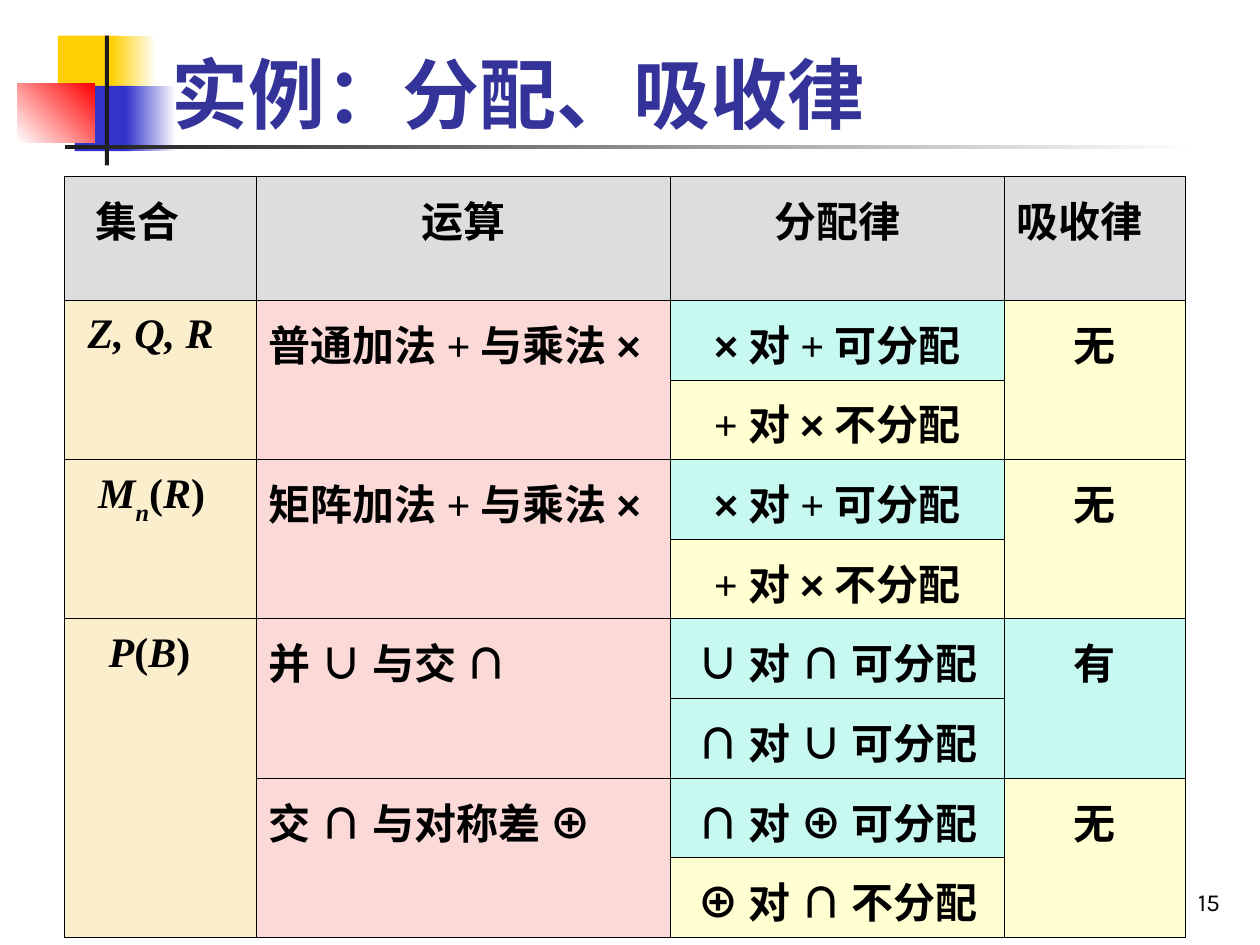
from itertools import groupby

from lxml import etree
from pptx import Presentation
from pptx.dml.color import RGBColor
from pptx.enum import shapes, text
from pptx.oxml import ns
from pptx.util import Pt

BLACK = RGBColor(0x00, 0x00, 0x00)
WHITE = RGBColor(0xFF, 0xFF, 0xFF)
DARK = RGBColor(0x1C, 0x1C, 0x1C)
GOLD = RGBColor(0xFF, 0xCF, 0x01)
BLUE = RGBColor(0x33, 0x33, 0xCC)
RED = RGBColor(0xFF, 0x00, 0x00)
TITLE = RGBColor(0x33, 0x33, 0x99)
GREY = RGBColor(0xDD, 0xDD, 0xDD)
SAND = RGBColor(0xFB, 0xEE, 0xCD)
PINK = RGBColor(0xFA, 0xD9, 0xD6)
MINT = RGBColor(0xC7, 0xF9, 0xF1)
CREAM = RGBColor(0xFF, 0xFF, 0xD1)
LEFT, CENTER, RIGHT = text.PP_ALIGN.LEFT, text.PP_ALIGN.CENTER, text.PP_ALIGN.RIGHT
HANG = 27  # hanging indent of the table text


def add_label(label, left, top, width, height, size, color, bold, align):
    tf = s.shapes.add_textbox(Pt(left), Pt(top), Pt(width), Pt(height)).text_frame
    tf.word_wrap = True
    tf.vertical_anchor = text.MSO_ANCHOR.BOTTOM
    p = tf.paragraphs[0]
    p.text, p.alignment = label, align
    p.font.name, p.font.size, p.font.bold = "Karla", Pt(size), bold
    p.font.color.rgb = color


def fill_cell(row, col, label, fill, align=CENTER, shift=0, span=1, math=False):
    cell = table.cell(row, col)
    if span > 1:
        cell.merge(table.cell(row + span - 1, col))
    cell.fill.solid()
    cell.fill.fore_color.rgb = fill
    p = cell.text_frame.paragraphs[0]
    p.alignment, p.line_spacing = align, 1.1
    pPr = p._p.get_or_add_pPr()
    pPr.set("marL", str(Pt(HANG)))
    pPr.set("indent", str(Pt(shift - HANG)))
    p.font.size, p.font.bold, p.font.color.rgb = Pt(24), True, BLACK
    # Operators are in Arial; in formulas all but brackets is italic
    for (symbol, bracket, sub), chars in groupby(
            label, lambda c: (c in "×∪∩⊕", c in "()", math and c == "n")):
        r = p.add_run()
        r.text = "".join(chars)
        r.font.name = "Arial" if symbol else "Times New Roman"
        r.font.size, r.font.bold, r.font.color.rgb = Pt(24), True, BLACK
        r.font.italic = math and not bracket
        if sub:
            r._r.get_or_add_rPr().set("baseline", "-30000")


prs = Presentation()
prs.slide_width, prs.slide_height = Pt(720), Pt(540)
s = prs.slides.add_slide(prs.slide_layouts[6])

# Corner ornament: left, top, width, height, colours, angle
for left, top, width, height, colors, angle in [
    (33.1, 20.4, 34.6, 37.4, [GOLD], 0),
    (63.4, 20.4, 25.7, 37.4, [GOLD, WHITE], 0),
    (42.7, 49, 33.1, 37.4, [BLUE], 0),
    (72, 49, 28.5, 37.4, [BLUE, WHITE], 0),
    (10.1, 47.8, 43.9, 33.5, [WHITE, RED], 45),
    (60, 20.4, 2.2, 74.2, [DARK], 0),
    (37, 82.8, 648, 2.2, [DARK, WHITE], 0),
]:
    sp = s.shapes.add_shape(shapes.MSO_SHAPE.RECTANGLE, Pt(left), Pt(top), Pt(width), Pt(height))
    sp.shadow.inherit = False
    sp.line.fill.background()
    if len(colors) == 1:
        sp.fill.solid()
        sp.fill.fore_color.rgb = colors[0]
    else:
        sp.fill.gradient()
        sp.fill.gradient_angle = angle
        for stop, color in zip(sp.fill.gradient_stops, colors):
            stop.color.rgb = color

# Page number and title
add_label("15", 554.4, 491.3, 149.8, 36, 14, BLACK, False, RIGHT)
add_label("实例：分配、吸收律", 90.7, 5.8, 613.4, 77, 44, TITLE, True, LEFT)

# Table grid
widths = [109.6, 236.6, 190.8, 103.3]
heights = [70.6] + [45.5] * 8
table = s.shapes.add_table(len(heights), len(widths), Pt(36.9), Pt(101),
                           Pt(sum(widths)), Pt(sum(heights))).table
table.first_row = table.horz_banding = False
for column, width in zip(table.columns, widths):
    column.width = Pt(width)
for row, height in zip(table.rows, heights):
    row.height = Pt(height)

# Header row
fill_cell(0, 0, "集合", GREY, LEFT, 10.3)
fill_cell(0, 1, "运算", GREY)
fill_cell(0, 2, "分配律", GREY)
fill_cell(0, 3, "吸收律", GREY, LEFT)

# Sets: row, formula, shift, rows spanned
for row, label, shift, span in [(1, "Z, Q, R", 6, 2), (3, "Mn(R)", 12, 2), (5, "P(B)", 18, 4)]:
    fill_cell(row, 0, label, SAND, LEFT, shift, span, True)

# Operations and absorption, two rows each
for i, (operation, absorbs) in enumerate([
    ("普通加法 + 与乘法 ×", False),
    ("矩阵加法 + 与乘法 ×", False),
    ("并 ∪ 与交 ∩", True),
    ("交 ∩ 与对称差 ⊕", False),
]):
    fill_cell(1 + 2 * i, 1, operation, PINK, LEFT, span=2)
    fill_cell(1 + 2 * i, 3, "有" if absorbs else "无", MINT if absorbs else CREAM, span=2)

# Distributive laws
laws = ["× 对 + 可分配", "+ 对 × 不分配"] * 2 + [
    "∪ 对 ∩ 可分配", "∩ 对 ∪ 可分配", "∩ 对 ⊕ 可分配", "⊕ 对 ∩ 不分配"]
for row, law in enumerate(laws, 1):
    fill_cell(row, 2, law, CREAM if "不" in law else MINT)

# Thin black borders, placed before the cell fill
for cell in table.iter_cells():
    tcPr = cell._tc.get_or_add_tcPr()
    for i, side in enumerate(("a:lnL", "a:lnR", "a:lnT", "a:lnB")):
        ln = etree.Element(ns.qn(side), w=str(Pt(0.45)))
        solid = etree.SubElement(ln, ns.qn("a:solidFill"))
        etree.SubElement(solid, ns.qn("a:srgbClr"), val=str(BLACK))
        tcPr.insert(i, ln)

prs.save("out.pptx")
